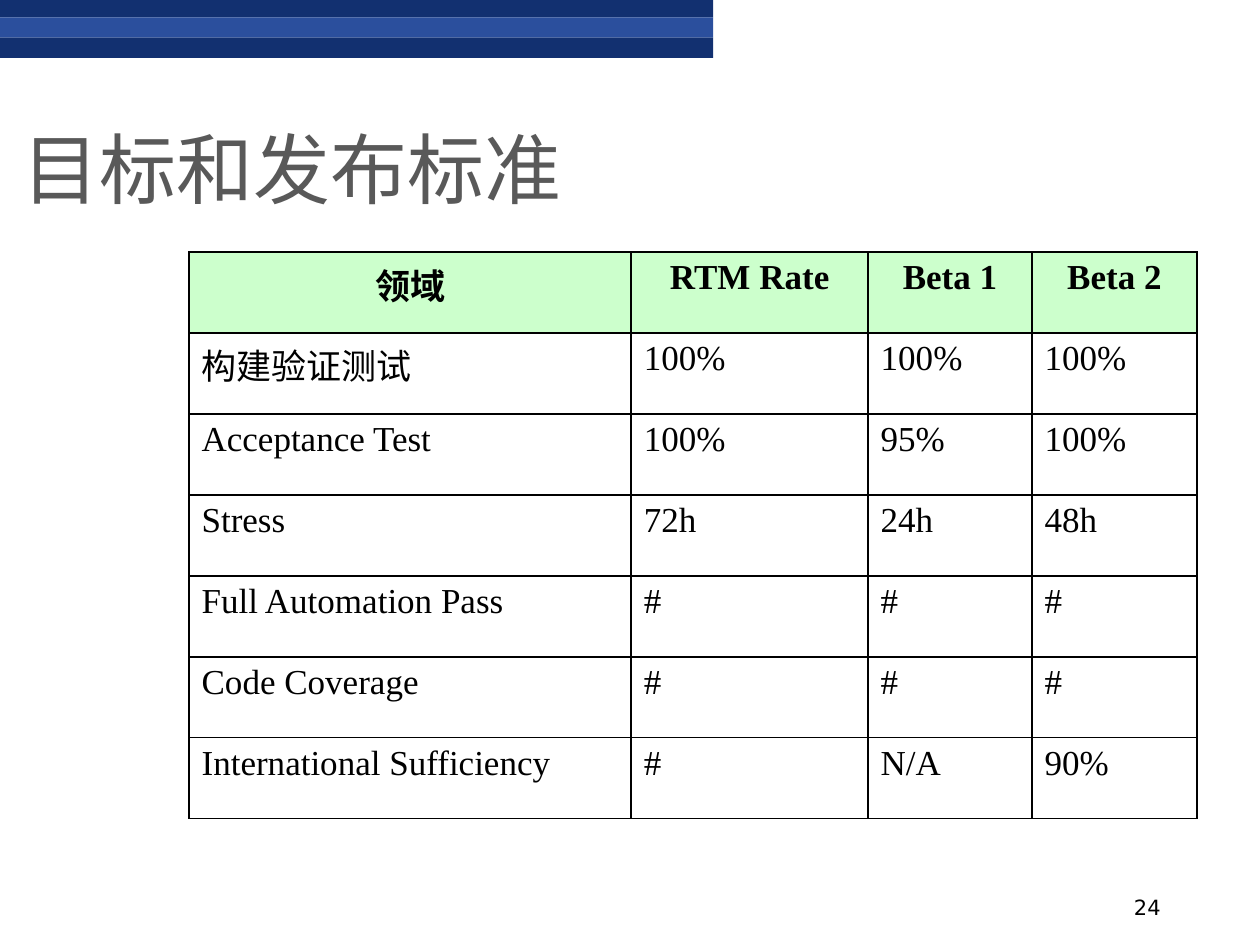
from lxml import etree
from pptx import Presentation
from pptx.dml.color import RGBColor
from pptx.enum.shapes import MSO_SHAPE
from pptx.enum.text import MSO_ANCHOR, PP_ALIGN
from pptx.oxml.ns import qn
from pptx.util import Inches, Pt

RECTANGLE = MSO_SHAPE.RECTANGLE
BOTTOM = MSO_ANCHOR.BOTTOM
LEFT, CENTER, RIGHT = PP_ALIGN.LEFT, PP_ALIGN.CENTER, PP_ALIGN.RIGHT

COLORS = {
    "navy": "123070",
    "blue": "2B4F9D",
    "title": "595959",
    "ink": "000000",
    "header": "CCFFCC",
}
CJK, SERIF, SANS = "Noto Sans CJK SC", "Times New Roman", "DejaVu Sans"

CRITERIA = [
    ["领域", "RTM Rate", "Beta 1", "Beta 2"],
    ["构建验证测试", "100%", "100%", "100%"],
    ["Acceptance Test", "100%", "95%", "100%"],
    ["Stress", "72h", "24h", "48h"],
    ["Full Automation Pass", "#", "#", "#"],
    ["Code Coverage", "#", "#", "#"],
    ["International Sufficiency", "#", "N/A", "90%"],
]
COLUMN_WIDTHS = [3.51, 1.88, 1.3, 1.31]


def rgb(name):
    return RGBColor.from_string(COLORS[name])


def style(paragraph, font, size, color, align=LEFT, bold=False):
    paragraph.alignment = align
    paragraph.font.name = font
    paragraph.font.size = Pt(size)
    paragraph.font.bold = bold
    paragraph.font.color.rgb = rgb(color)
    defaults = paragraph.font._element
    etree.SubElement(defaults, qn("a:ea")).set("typeface", CJK)
    for run in paragraph.runs:
        run._r.get_or_add_rPr().append(etree.Element(qn("a:ea"), typeface=CJK))


def add_banner(slide, left, top, width, height):
    bands = [("navy", 0, 0.3), ("blue", 0.3, 0.35), ("navy", 0.65, 0.35)]
    for color, offset, share in bands:
        band = slide.shapes.add_shape(
            RECTANGLE, Inches(left), Inches(top + offset * height),
            Inches(width), Inches(share * height))
        band.shadow.inherit = False
        band.fill.solid()
        band.fill.fore_color.rgb = rgb(color)
        band.line.fill.background()


def add_label(slide, box, text, font, size, color, align=LEFT, spacing=None):
    label = slide.shapes.add_textbox(*map(Inches, box))
    frame = label.text_frame
    frame.word_wrap = True
    frame.vertical_anchor = BOTTOM
    paragraph = frame.paragraphs[0]
    paragraph.text = text
    paragraph.line_spacing = spacing
    style(paragraph, font, size, color, align)


def outline(cell):
    properties = cell._tc.get_or_add_tcPr()
    for position, side in enumerate(("lnL", "lnR", "lnT", "lnB")):
        border = etree.Element(qn(f"a:{side}"), w=str(Pt(1)))
        fill = etree.SubElement(border, qn("a:solidFill"))
        etree.SubElement(fill, qn("a:srgbClr"), val=COLORS["ink"])
        properties.insert(position, border)


def add_criteria_table(slide, left, top, width, height):
    frame = slide.shapes.add_table(
        len(CRITERIA), len(COLUMN_WIDTHS),
        Inches(left), Inches(top), Inches(width), Inches(height))
    table = frame.table
    table.horz_banding = False
    for column, share in zip(table.columns, COLUMN_WIDTHS):
        column.width = Inches(width * share / sum(COLUMN_WIDTHS))
    for row_index, values in enumerate(CRITERIA):
        is_header = row_index == 0
        table.rows[row_index].height = Inches(height / len(CRITERIA))
        for column_index, value in enumerate(values):
            cell = table.cell(row_index, column_index)
            if is_header:
                cell.fill.solid()
                cell.fill.fore_color.rgb = rgb("header")
            else:
                cell.fill.background()
            outline(cell)
            paragraph = cell.text_frame.paragraphs[0]
            paragraph.text = value
            style(paragraph, SERIF, 20, "ink",
                  CENTER if is_header else LEFT, is_header)
            indents = paragraph._p.get_or_add_pPr()
            indents.set("marL", str(Inches(0.38)))
            indents.set("indent", str(-Inches(0.38)))


def main():
    deck = Presentation()
    deck.slide_width, deck.slide_height = Inches(10), Inches(7.5)
    slide = deck.slides.add_slide(deck.slide_layouts[6])
    add_banner(slide, 0, 0, 5.66, 0.46)
    add_label(slide, (7.06, 6.95, 2.25, 0.4), "24", SANS, 12, "ink", RIGHT)
    add_label(slide, (0.08, 0.5, 7.9, 1.26), "目标和发布标准",
              CJK, 44, "title", spacing=0.9)
    add_criteria_table(slide, 1.5, 2, 8, 4.5)
    deck.save("out.pptx")


if __name__ == "__main__":
    main()
